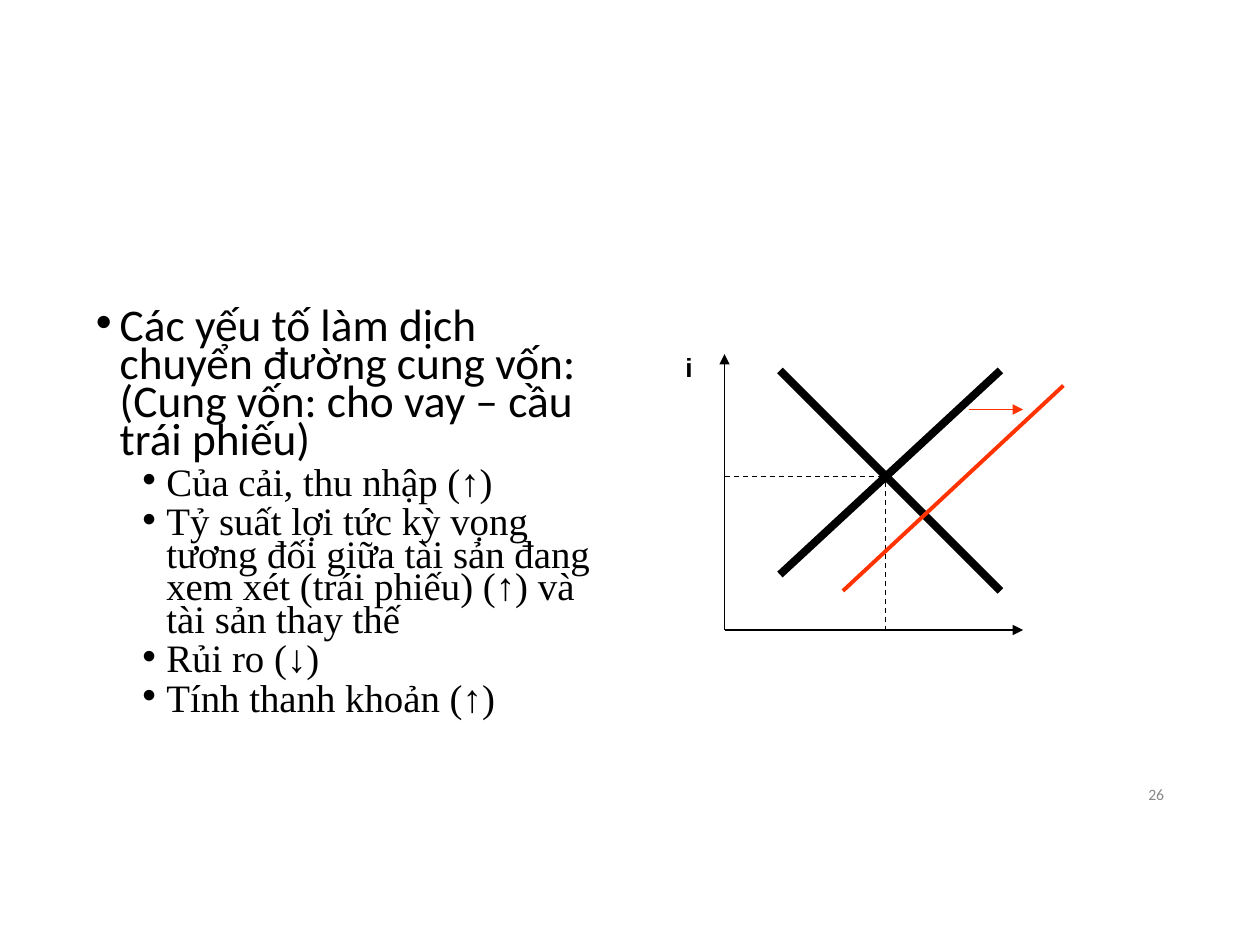
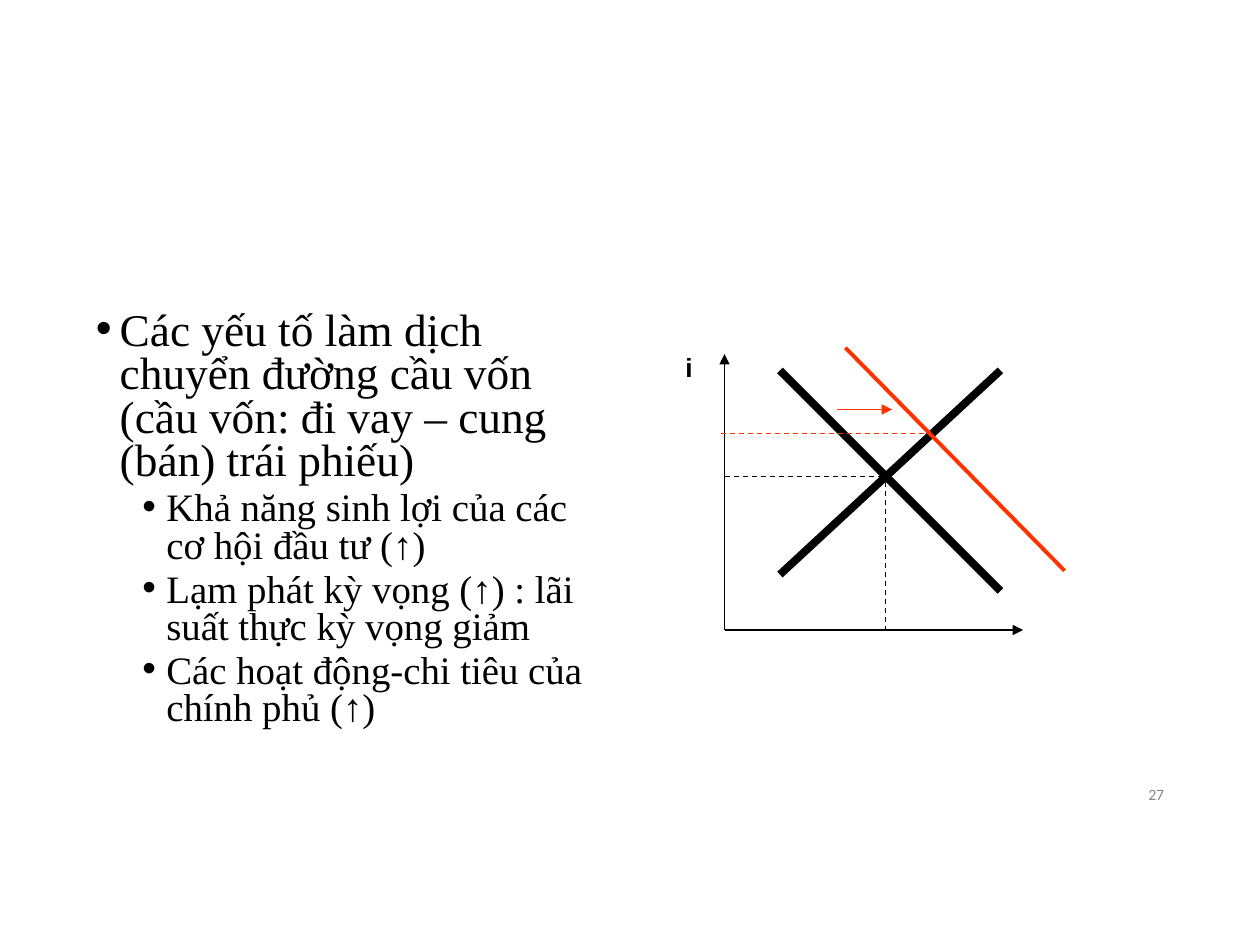
from dataclasses import dataclass

from lxml.etree import SubElement
from pptx import Presentation
from pptx.dml.color import RGBColor
from pptx.enum.dml import MSO_LINE
from pptx.enum.shapes import MSO_CONNECTOR
from pptx.enum.text import MSO_ANCHOR, PP_ALIGN
from pptx.oxml.ns import qn
from pptx.slide import Slide
from pptx.text.text import Font, TextFrame
from pptx.util import Inches, Pt

BLACK, RED, GREY = "000000", "FF3300", "888888"
SANS, SERIF, LABEL = "Calibri", "Times New Roman", "Arial"
THIN, SHIFTED, CURVE = 0.75, 2.25, 4.5


@dataclass(frozen=True)
class Segment:
    start: tuple[float, float]
    end: tuple[float, float]
    color: str = BLACK
    width: float = THIN
    dashed: bool = False
    arrow: bool = False


@dataclass(frozen=True)
class Factors:
    """One slide: factors that shift a curve, and the shift drawn in red."""
    number: int
    heading: str
    heading_font: str
    items: list[str]
    line_spacing: float
    shift: list[Segment]


ORIGIN = (5.75, 5)
MARKET = [
    Segment(ORIGIN, (5.75, 2.81), arrow=True),
    Segment(ORIGIN, (8.12, 5), arrow=True),
    Segment((6.19, 2.94), (7.94, 4.69), width=CURVE),
    Segment((6.19, 4.56), (7.94, 2.94), width=CURVE),
    Segment((5.75, 3.78), (7, 3.78), dashed=True),
    Segment((7.03, 3.75), (7.03, 5), dashed=True),
]

SLIDES = [
    Factors(
        26,
        "Các yếu tố làm dịch chuyển đường cung vốn: (Cung vốn: cho vay – cầu trái phiếu)",
        SANS,
        [
            "Của cải, thu nhập (↑)",
            "Tỷ suất lợi tức kỳ vọng tương đối giữa tài sản đang xem xét "
            "(trái phiếu) (↑) và tài sản thay thế",
            "Rủi ro (↓)",
            "Tính thanh khoản (↑)",
        ],
        0.7,
        [
            Segment((6.69, 4.69), (8.44, 3.06), RED, SHIFTED),
            Segment((7.69, 3.25), (8.12, 3.25), RED, arrow=True),
        ],
    ),
    Factors(
        27,
        "Các yếu tố làm dịch chuyển đường cầu vốn (cầu vốn: đi vay – cung (bán) trái phiếu)",
        SERIF,
        [
            "Khả năng sinh lợi của các cơ hội đầu tư (↑)",
            "Lạm phát kỳ vọng (↑) : lãi suất thực kỳ vọng giảm",
            "Các hoạt động-chi tiêu của chính phủ (↑)",
        ],
        0.8,
        [
            Segment((6.71, 2.76), (8.45, 4.53), RED, SHIFTED),
            Segment((6.64, 3.25), (7.08, 3.25), RED, arrow=True),
            Segment((5.72, 3.44), (7.37, 3.44), RED, dashed=True),
        ],
    ),
]


def rgb(color: str) -> RGBColor:
    return RGBColor.from_string(color)


def style(font: Font, name: str, size: float, color: str = BLACK, bold: bool = False) -> None:
    font.name, font.size, font.bold = name, Pt(size), bold
    font.color.rgb = rgb(color)


def add_frame(slide: Slide, left: float, top: float, width: float, height: float,
              inset: float = 0.07) -> TextFrame:
    box = slide.shapes.add_textbox(Inches(left), Inches(top), Inches(width), Inches(height))
    frame = box.text_frame
    frame.word_wrap = True
    frame.margin_left, frame.margin_right = Inches(inset), Inches(0.07)
    frame.margin_top = frame.margin_bottom = Inches(0.04)
    return frame


def add_segment(slide: Slide, segment: Segment) -> None:
    ends = [Inches(value) for value in (*segment.start, *segment.end)]
    connector = slide.shapes.add_connector(MSO_CONNECTOR.STRAIGHT, *ends)
    line = connector.line
    line.color.rgb = rgb(segment.color)
    line.width = Pt(segment.width)
    if segment.dashed:
        line.dash_style = MSO_LINE.DASH
    properties = connector.element.spPr
    if segment.arrow:
        SubElement(properties.find(qn("a:ln")), qn("a:tailEnd"), type="triangle")
    SubElement(properties, qn("a:effectLst"))


def add_factors(slide: Slide, factors: Factors) -> None:
    frame = add_frame(slide, 0.69, 2.43, 4.25, 3.57)
    for index, text in enumerate([factors.heading, *factors.items]):
        is_item = index > 0
        paragraph = frame.add_paragraph() if is_item else frame.paragraphs[0]
        properties = paragraph._p.get_or_add_pPr()
        properties.set("marL", str(Inches(0.56 if is_item else 0.19)))
        properties.set("indent", str(Inches(-0.19)))
        bullet_color = SubElement(properties, qn("a:buClr"))
        SubElement(bullet_color, qn("a:srgbClr"), val=BLACK)
        SubElement(properties, qn("a:buFont"), typeface=LABEL)
        SubElement(properties, qn("a:buChar"), char="•")
        paragraph.line_spacing = factors.line_spacing
        run = paragraph.add_run()
        run.text = text
        if is_item:
            paragraph.level = 1
            paragraph.space_before = Pt(3.8)
            style(run.font, SERIF, 22.2)
        else:
            style(run.font, factors.heading_font, 25.9)


def add_page_number(slide: Slide, number: int) -> None:
    frame = add_frame(slide, 7.06, 6.15, 2.25, 0.3)
    frame.vertical_anchor = MSO_ANCHOR.MIDDLE
    paragraph = frame.paragraphs[0]
    paragraph.alignment = PP_ALIGN.RIGHT
    run = paragraph.add_run()
    run.text = str(number)
    style(run.font, SANS, 9, GREY)


def add_market(slide: Slide, shift: list[Segment]) -> None:
    """Draw the supply and demand diagram, then the shifted curve over it."""
    for segment in MARKET + shift:
        add_segment(slide, segment)
    rate = add_frame(slide, 5.31, 2.75, 0.38, 0.33, inset=0.13).paragraphs[0].add_run()
    rate.text = "i"
    style(rate.font, LABEL, 15, bold=True)


def main() -> None:
    deck = Presentation()
    deck.slide_width, deck.slide_height = Inches(10), Inches(7.5)
    for factors in SLIDES:
        slide = deck.slides.add_slide(deck.slide_layouts[6])
        add_factors(slide, factors)
        add_page_number(slide, factors.number)
        add_market(slide, factors.shift)
    deck.save("out.pptx")


if __name__ == "__main__":
    main()
